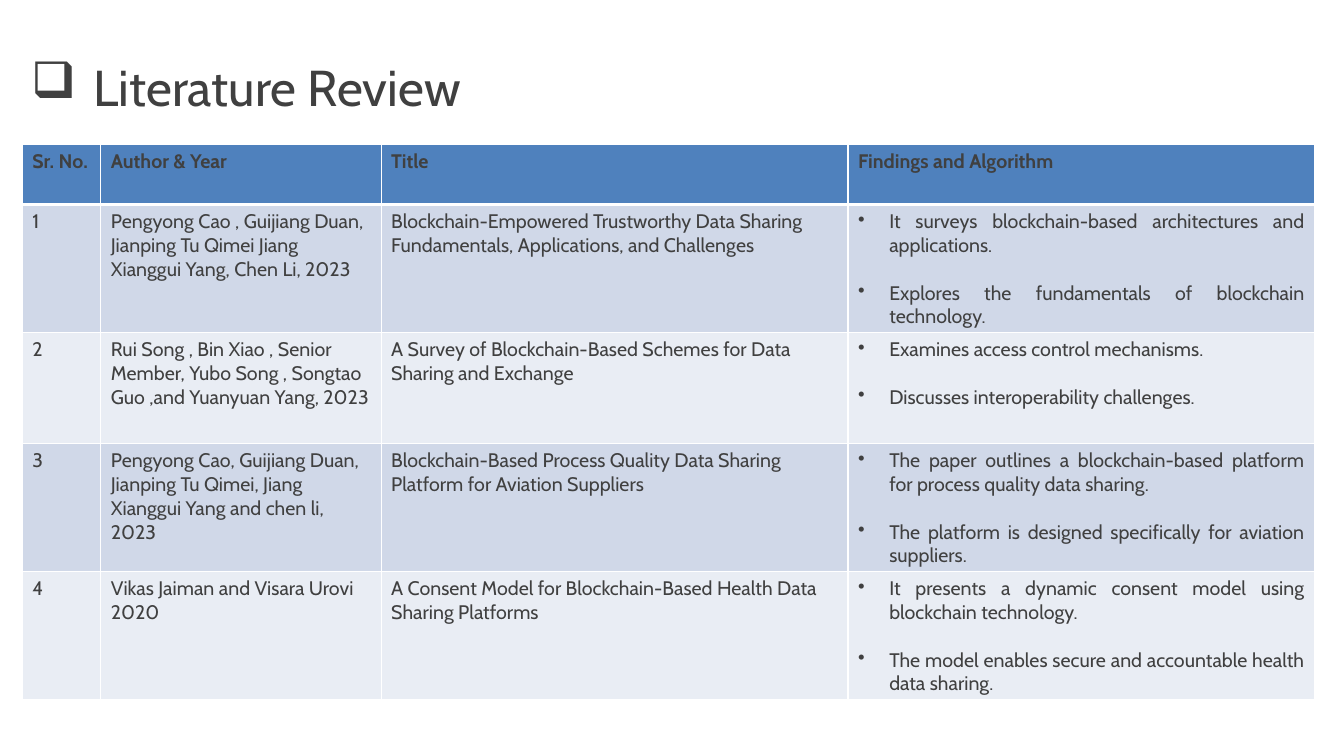
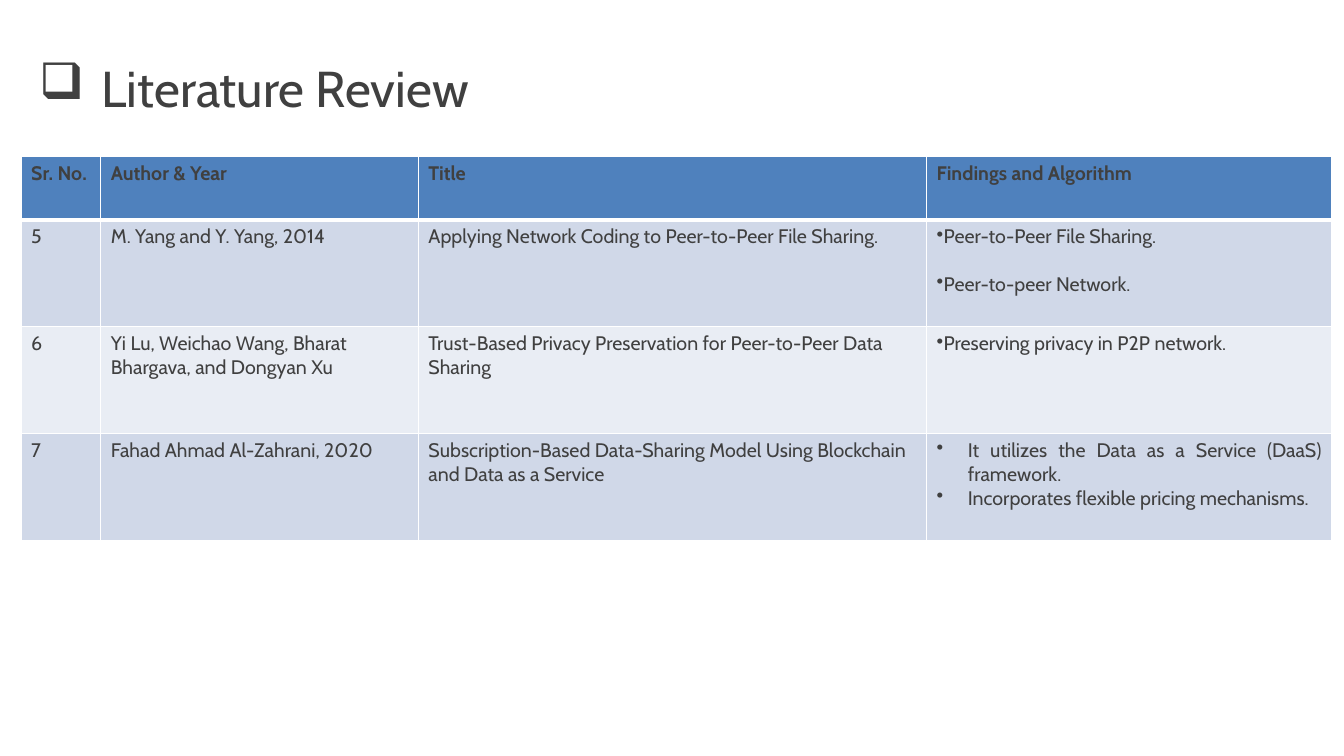
from lxml import etree
from pptx import Presentation
from pptx.dml.color import RGBColor
from pptx.enum import text
from pptx.oxml import ns
from pptx.util import Inches, Pt

COLORS = {"ink": "404040", "header": "4F81BD", "odd": "D0D8E8", "even": "E9EDF4", "rule": "FFFFFF"}
TITLE = "Literature Review"
TITLE_FONT = {"name": "Cabin", "size": Pt(36)}
HEADER_FONT = {"name": "Cabin", "size": Pt(14), "bold": True}
BODY_FONT = {**HEADER_FONT, "bold": False}
HEADINGS = ("Sr. No.", "Author & Year", "Title", "Findings and Algorithm")

JUSTIFY = text.PP_ALIGN.JUSTIFY
FINDING_STYLES = {
    "spaced": {"margin": 0.31, "align": JUSTIFY, "gap": 17},
    "tight": {"margin": 0.31, "align": JUSTIFY, "gap": 0},
    "flush": {"margin": 0, "align": None, "gap": 17},
}

REVIEWS = [
    {
        "title_at": (0.21, 0.51),
        "table_at": (0.22, 1.43),
        "columns": (0.78, 2.78, 4.63, 4.63),
        "header_height": 0.6,
        "row_height": 1.1,
        "papers": [
            ("1", "Pengyong Cao , Guijiang Duan, Jianping Tu Qimei Jiang Xianggui Yang, Chen Li, 2023",
             "Blockchain-Empowered Trustworthy Data Sharing Fundamentals, Applications, and Challenges",
             "spaced", ["It surveys blockchain-based architectures and applications.",
                        "Explores the fundamentals of blockchain technology."]),
            ("2", "Rui Song , Bin Xiao , Senior Member, Yubo Song , Songtao Guo ,and Yuanyuan Yang, 2023",
             "A Survey of Blockchain-Based Schemes for Data Sharing and Exchange",
             "spaced", ["Examines access control mechanisms.",
                        "Discusses interoperability challenges."]),
            ("3", "Pengyong Cao, Guijiang Duan, Jianping Tu Qimei, Jiang Xianggui Yang and chen li, 2023",
             "Blockchain-Based Process Quality Data Sharing Platform for Aviation Suppliers",
             "spaced", ["The paper outlines a blockchain-based platform for process quality data sharing.",
                        "The platform is designed specifically for aviation suppliers."]),
            ("4", "Vikas Jaiman and Visara Urovi 2020",
             "A Consent Model for Blockchain-Based Health Data Sharing Platforms",
             "spaced", ["It presents a dynamic consent model using blockchain technology.",
                        "The model enables secure and accountable health data sharing."]),
        ],
    },
    {
        "title_at": (0.29, 0.52),
        "table_at": (0.21, 1.55),
        "columns": (0.79, 3.15, 5.04, 4.02),
        "header_height": 0.63,
        "row_height": 1.06,
        "papers": [
            ("5", "M. Yang and Y. Yang, 2014",
             "Applying Network Coding to Peer-to-Peer File Sharing.",
             "flush", ["Peer-to-Peer File Sharing.", "Peer-to-peer Network."]),
            ("6", "Yi Lu, Weichao Wang, Bharat Bhargava, and Dongyan Xu",
             "Trust-Based Privacy Preservation for Peer-to-Peer Data Sharing",
             "flush", ["Preserving privacy in P2P network."]),
            ("7", "Fahad Ahmad Al-Zahrani, 2020",
             "Subscription-Based Data-Sharing Model Using Blockchain and Data as a Service",
             "tight", ["It utilizes the Data as a Service (DaaS) framework.",
                       "Incorporates flexible pricing mechanisms."]),
        ],
    },
]


def write(paragraph, words, font):
    run = paragraph.add_run()
    run.text = words
    for key, value in font.items():
        setattr(run.font, key, value)
    run.font.color.rgb = RGBColor.from_string(COLORS["ink"])


def add_bullet(paragraph, symbol, margin, hanging):
    props = paragraph._p.get_or_add_pPr()
    props.set("marL", str(Inches(margin)))
    props.set("indent", str(-Inches(hanging)))
    etree.SubElement(props, ns.qn("a:buChar")).set("char", symbol)


def style_cell(cell, fill, top=1, bottom=1):
    props = cell._tc.get_or_add_tcPr()
    for side, width in {"L": 1, "R": 1, "T": top, "B": bottom}.items():
        line = etree.SubElement(props, ns.qn(f"a:ln{side}"), w=str(Pt(width)))
        color = etree.SubElement(line, ns.qn("a:solidFill"))
        etree.SubElement(color, ns.qn("a:srgbClr"), val=COLORS["rule"])
    cell.fill.solid()
    cell.fill.fore_color.rgb = RGBColor.from_string(COLORS[fill])


def add_title(slide, left, top):
    title = slide.shapes.add_textbox(Inches(left), Inches(top), Inches(4.88), Inches(0.71))
    title.text_frame.word_wrap = True
    title.text_frame.auto_size = text.MSO_AUTO_SIZE.SHAPE_TO_FIT_TEXT
    paragraph = title.text_frame.paragraphs[0]
    add_bullet(paragraph, "❑", 0.62, 0.62)
    write(paragraph, TITLE, TITLE_FONT)


def write_findings(cell, style, findings):
    for index, finding in enumerate(findings):
        frame = cell.text_frame
        paragraph = frame.add_paragraph() if index else frame.paragraphs[0]
        paragraph.alignment = style["align"]
        paragraph.space_before = Pt(style["gap"] if index else 0)
        add_bullet(paragraph, "•", style["margin"], 0.31)
        write(paragraph, finding, BODY_FONT)


def add_review(slide, review):
    papers, columns = review["papers"], review["columns"]
    heights = [review["header_height"]] + [review["row_height"]] * len(papers)
    left, top = review["table_at"]
    table = slide.shapes.add_table(
        len(heights), len(columns), Inches(left), Inches(top), Inches(sum(columns)), Inches(sum(heights))
    ).table
    table.horz_banding = False
    for column, width in zip(table.columns, columns):
        column.width = Inches(width)
    for row, height in zip(table.rows, heights):
        row.height = Inches(height)

    for cell, heading in zip(table.rows[0].cells, HEADINGS):
        style_cell(cell, "header", bottom=3)
        write(cell.text_frame.paragraphs[0], heading, HEADER_FONT)
    for number, (*facts, style, findings) in enumerate(papers, 1):
        cells = list(table.rows[number].cells)
        for cell in cells:
            style_cell(cell, "odd" if number % 2 else "even", top=3 if number == 1 else 1)
        for cell, fact in zip(cells, facts):
            write(cell.text_frame.paragraphs[0], fact, BODY_FONT)
        write_findings(cells[-1], FINDING_STYLES[style], findings)


def main():
    deck = Presentation()
    deck.slide_width, deck.slide_height = Inches(13.33), Inches(7.5)
    for review in REVIEWS:
        slide = deck.slides.add_slide(deck.slide_layouts[6])
        add_title(slide, *review["title_at"])
        add_review(slide, review)
    deck.save("out.pptx")


if __name__ == "__main__":
    main()
